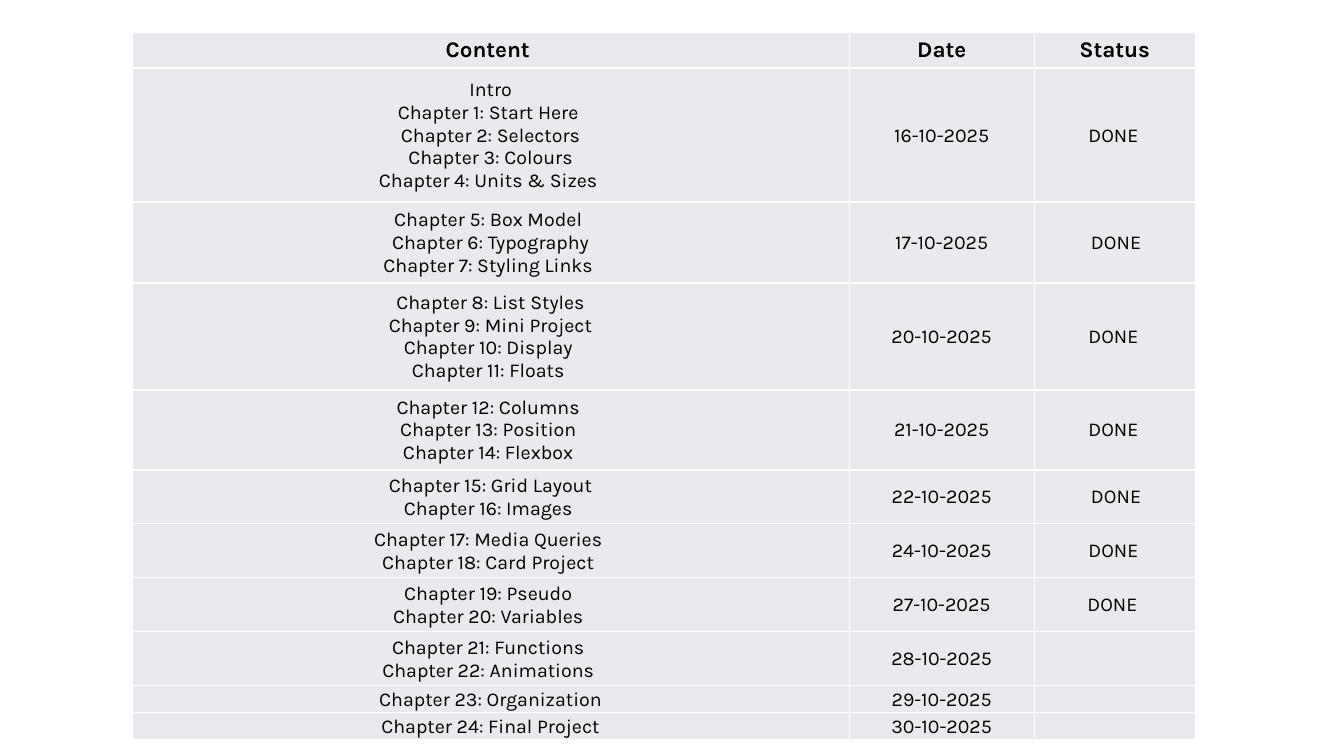
import pptx
import pptx.util
import pptx.dml.color
import pptx.enum.text
import pptx.oxml
import pptx.oxml.ns

PX = 914400 / 100.8
THEME = {
    "font": "Karla",
    "ink": pptx.dml.color.RGBColor.from_string("000000"),
    "cell": pptx.dml.color.RGBColor.from_string("E8EAED"),
    "border": "FFFFFF",
    "heading": 16,
    "text": 14,
    "small": 8,
}
COLUMNS = [717, 185, 161]
DONE_THEN_GAP = ["DONE", " "]
GAP_THEN_DONE = [" ", "DONE"]
SCHEDULE = [
    (36, ["Content "], "Date", ["Status"]),
    (134, ["Intro", "Chapter 1: Start Here ", "Chapter 2: Selectors", "Chapter 3: Colours",
           "Chapter 4: Units & Sizes "], "16-10-2025", DONE_THEN_GAP),
    (81, ["Chapter 5: Box Model ", "Chapter 6: Typography", "Chapter 7: Styling Links "],
     "17-10-2025", GAP_THEN_DONE),
    (107, ["Chapter 8: List Styles", "Chapter 9: Mini Project", "Chapter 10: Display ",
           "Chapter 11: Floats "], "20-10-2025", DONE_THEN_GAP),
    (80, ["Chapter 12: Columns ", "Chapter 13: Position ", "Chapter 14: Flexbox "],
     "21-10-2025", DONE_THEN_GAP),
    (54, ["Chapter 15: Grid Layout", "Chapter 16: Images "], "22-10-2025", GAP_THEN_DONE),
    (54, ["Chapter 17: Media Queries ", "Chapter 18: Card Project "], "24-10-2025", DONE_THEN_GAP),
    (54, ["Chapter 19: Pseudo ", "Chapter 20: Variables "], "27-10-2025", ["DONE "]),
    (54, ["Chapter 21: Functions ", "Chapter 22: Animations "], "28-10-2025", []),
    (27, ["Chapter 23: Organization"], "29-10-2025", []),
    (27, ["Chapter 24: Final Project"], "30-10-2025", []),
]


def px(length):
    return pptx.util.Emu(round(length * PX))


def style_cell(cell):
    cell.margin_left = cell.margin_right = cell.margin_top = px(1)
    cell.margin_bottom = 0
    cell.vertical_anchor = pptx.enum.text.MSO_ANCHOR.MIDDLE
    properties = cell._tc.get_or_add_tcPr()
    for side in ("lnL", "lnR", "lnT", "lnB"):
        properties.append(pptx.oxml.parse_xml(
            f'<a:{side} {pptx.oxml.ns.nsdecls("a")} w="12700"><a:solidFill>'
            f'<a:srgbClr val="{THEME["border"]}"/></a:solidFill></a:{side}>'))
    cell.fill.solid()
    cell.fill.fore_color.rgb = THEME["cell"]


deck = pptx.Presentation()
deck.slide_width = pptx.util.Inches(13.33)
deck.slide_height = pptx.util.Inches(7.5)
page = deck.slides.add_slide(deck.slide_layouts[6])

heights = [entry[0] for entry in SCHEDULE]
frame = page.shapes.add_table(len(SCHEDULE), len(COLUMNS), px(132), px(32),
                              px(sum(COLUMNS)), px(sum(heights)))
table = frame.table
table.first_row = False
table.horz_banding = False
for column, width in zip(table.columns, COLUMNS):
    column.width = px(width)

for row_number, (height, chapters, date, status) in enumerate(SCHEDULE):
    table.rows[row_number].height = px(height)
    is_heading = row_number == 0
    size = THEME["heading"] if is_heading else THEME["text"]
    for column_number, pieces in enumerate((chapters, [date], status)):
        cell = table.cell(row_number, column_number)
        style_cell(cell)
        para = cell.text_frame.paragraphs[0]
        para.alignment = pptx.enum.text.PP_ALIGN.CENTER
        for piece_number, piece in enumerate(pieces):
            if column_number == 0 and piece_number > 0:
                para.add_line_break()
            span = para.add_run()
            span.text = piece
            span.font.name = THEME["font"]
            span.font.size = pptx.util.Pt(size if piece.strip() else THEME["small"])
            span.font.bold = is_heading
            span.font.color.rgb = THEME["ink"]
        for line_break in para._p.findall(pptx.oxml.ns.qn("a:br")):
            line_break.append(pptx.oxml.parse_xml(
                f'<a:rPr {pptx.oxml.ns.nsdecls("a")} sz="{size * 100}"/>'))
        para._p.append(pptx.oxml.parse_xml(
            f'<a:endParaRPr {pptx.oxml.ns.nsdecls("a")} sz="{THEME["small"] * 100}"/>'))

deck.save("out.pptx")
